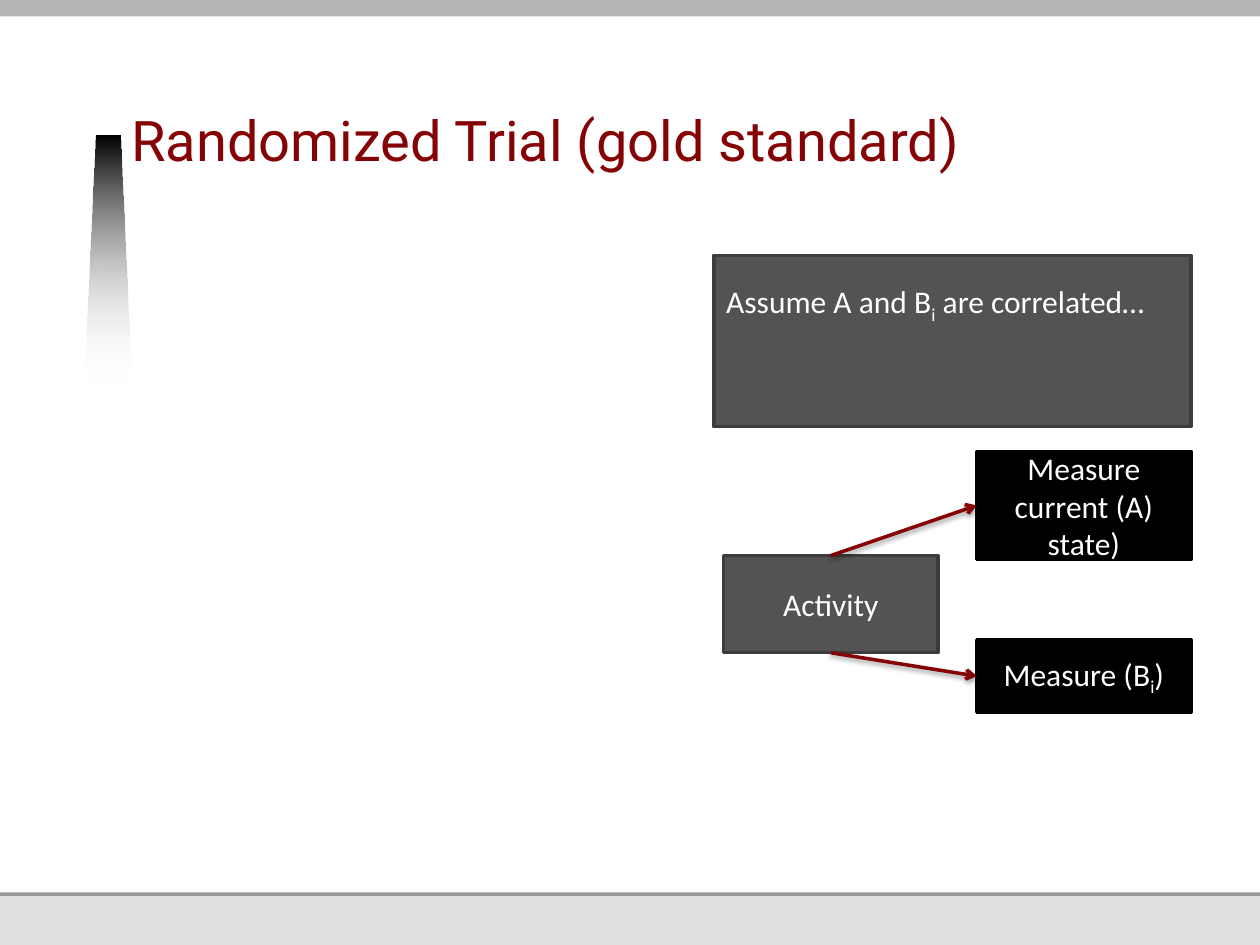
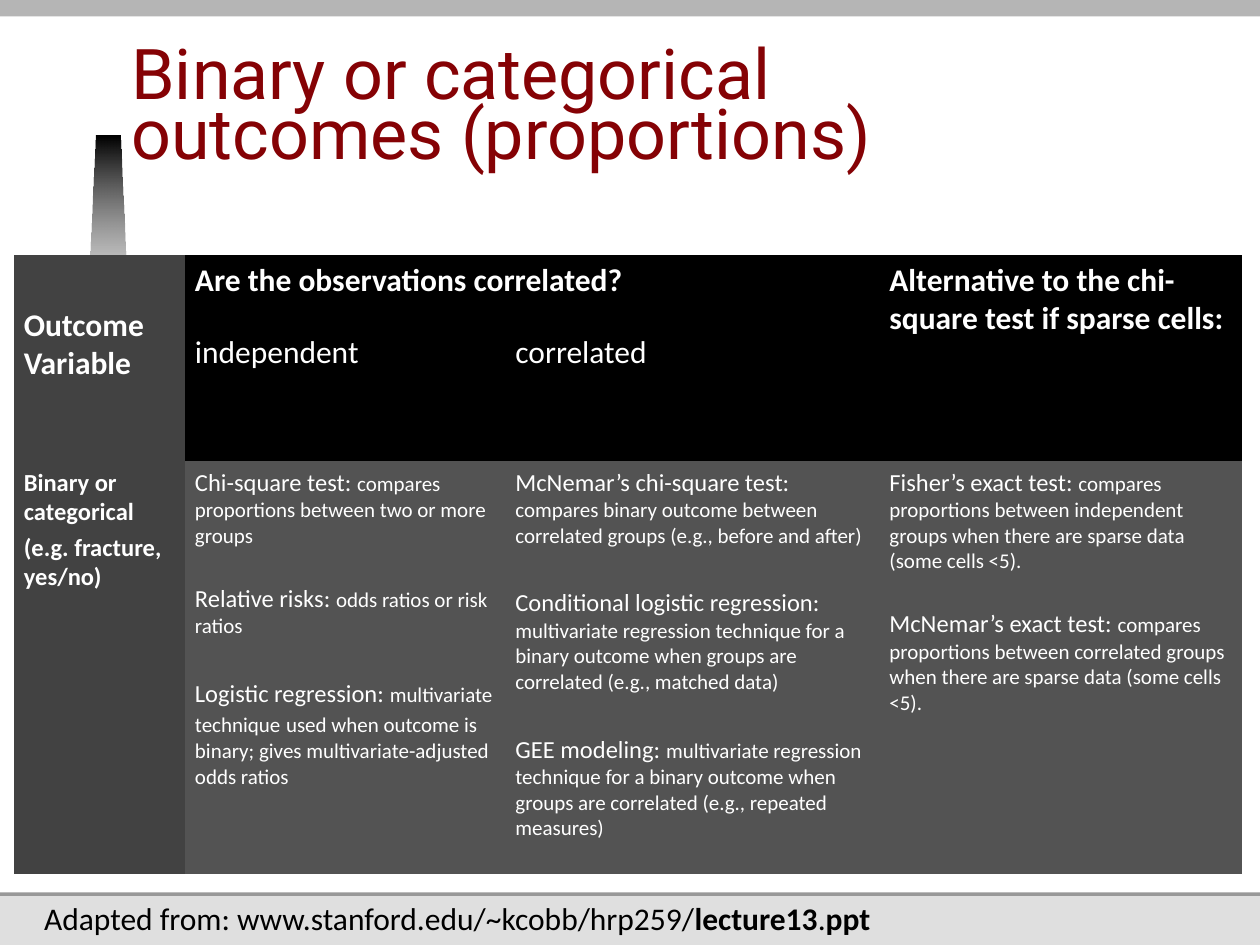
from dataclasses import dataclass

from lxml import etree
from pptx import Presentation
from pptx.dml.color import RGBColor
from pptx.enum.shapes import MSO_CONNECTOR, MSO_SHAPE
from pptx.enum.text import MSO_ANCHOR, MSO_AUTO_SIZE, PP_ALIGN
from pptx.oxml.ns import qn
from pptx.util import Cm, Pt

RECT = MSO_SHAPE.RECTANGLE
STRAIGHT = MSO_CONNECTOR.STRAIGHT
TOP, MIDDLE, BOTTOM = MSO_ANCHOR.TOP, MSO_ANCHOR.MIDDLE, MSO_ANCHOR.BOTTOM
LEFT, CENTER = PP_ALIGN.LEFT, PP_ALIGN.CENTER
NO_FIT = MSO_AUTO_SIZE.NONE
NO_GRID = "{2D5ABB26-0587-4C30-8999-92F81FD0307C}"
TITLE_ONLY = 5
TOP_SITE, LEFT_SITE, BASE_SITE = 0, 1, 2


@dataclass(frozen=True)
class Theme:
    title_font: str = "Roboto"
    font: str = "Calibri"
    red: str = "850205"
    black: str = "000000"
    white: str = "FFFFFF"
    panel: str = "535353"
    edge: str = "3D3D3D"
    side: str = "424242"
    band: str = "B5B5B5"
    rule: str = "989898"
    foot: str = "DFDFDF"
    large: int = 18
    lead: int = 14
    small: int = 12
    title_line: int = 34


T = Theme()
WIDE, HIGH = 25.4, 19.05


def rgb(code):
    return RGBColor.from_string(code)


def place(box):
    return [Cm(n) for n in box]


def write(para, parts, size=T.large, color=T.white, bold=False):
    """Fill a paragraph from (text, changes) pairs; changes are size, bold or sub."""
    for text, change in parts:
        run = para.add_run()
        run.text = text
        font = run.font
        font.name = T.font
        font.size = Pt(change.get("size", size))
        font.bold = change.get("bold", bold)
        font.color.rgb = rgb(color)
        if change.get("sub"):
            run._r.get_or_add_rPr().set("baseline", "-25000")


def block(slide, box, fill, edge=None):
    shape = slide.shapes.add_shape(RECT, *place(box))
    shape.shadow.inherit = False
    shape.fill.solid()
    shape.fill.fore_color.rgb = rgb(fill)
    if edge:
        shape.line.color.rgb = rgb(edge)
        shape.line.width = Pt(2)
    else:
        shape.line.fill.background()
    return shape


def label(slide, box, parts, fill, edge, align=CENTER, anchor=MIDDLE):
    shape = block(slide, box, fill, edge)
    frame = shape.text_frame
    frame.word_wrap = True
    frame.vertical_anchor = anchor
    frame.paragraphs[0].alignment = align
    write(frame.paragraphs[0], parts)
    return shape


def spike(slide, box):
    """Wedge, narrow at the top, that fades out downwards."""
    x, y, w, h = box
    inset = 0.23
    form = slide.shapes.build_freeform(Cm(x), Cm(y + h))
    form.add_line_segments([
        (Cm(x + inset), Cm(y)),
        (Cm(x + w - inset), Cm(y)),
        (Cm(x + w), Cm(y + h)),
    ])
    shape = form.convert_to_shape()
    shape.shadow.inherit = False
    shape.line.fill.background()
    shape.fill.gradient()
    shape.fill.gradient_angle = 270
    for stop, code, spot in zip(shape.fill.gradient_stops,
                                (T.black, T.white), (0, 1)):
        stop.color.rgb = rgb(code)
        stop.position = spot
    tints = list(shape._element.spPr.iter(qn("a:srgbClr")))
    etree.SubElement(tints[-1], qn("a:alpha"), val="0")
    return shape


def dress(layout, slide):
    """Draw the shared bands and wedge, then hand them to the layout."""
    parts = [
        block(slide, (0, 0, WIDE, HIGH), T.foot),
        block(slide, (0, 4.52, WIDE, 13.54), T.rule),
        block(slide, (0, 0, WIDE, 17.99), T.white),
        spike(slide, (1.7, 2.74, 0.95, 5.0)),
        block(slide, (0, 0, WIDE, 0.33), T.band),
    ]
    for spot, part in enumerate(parts, 2):
        layout.shapes._spTree.insert(spot, part._element)


def head(slide, text, width, size):
    title = slide.shapes.title
    title.left, title.top, title.width, title.height = place(
        (2.65, 0.87, width, 2.75))
    frame = title.text_frame
    frame.text = text
    frame.word_wrap = True
    frame.auto_size = NO_FIT
    frame.vertical_anchor = BOTTOM
    frame.margin_left = frame.margin_right = frame.margin_top = 0
    frame.margin_bottom = Cm(0.13)
    para = frame.paragraphs[0]
    para.alignment = LEFT
    para.line_spacing = Pt(T.title_line)
    font = para.runs[0].font
    font.name, font.size = T.title_font, Pt(size)
    font.color.rgb = rgb(T.red)


def arrow(slide, start, site, end):
    line = slide.shapes.add_connector(STRAIGHT, 0, 0, 0, 0)
    line.begin_connect(start, site)
    line.end_connect(end, LEFT_SITE)
    line.line.color.rgb = rgb(T.red)
    line.line.width = Pt(2)
    etree.SubElement(line.line._get_or_add_ln(), qn("a:tailEnd"), type="arrow")
    glow = etree.SubElement(line._element.spPr, qn("a:effectLst"))
    shade = etree.SubElement(glow, qn("a:outerShdw"), blurRad=str(Pt(3.1)),
                             dist=str(Pt(1.6)), dir="5400000", rotWithShape="0")
    tint = etree.SubElement(shade, qn("a:srgbClr"), val=T.black)
    etree.SubElement(tint, qn("a:alpha"), val="38000")


def trial(slide, box):
    """Assumption note above an activity with its two measures."""
    x, y, w = box
    wide = 4.32
    right = x + w - wide
    sub = ("i", {"sub": True})
    act = label(slide, (x + 0.2, y + 6.05, wide, 1.96),
                [("Activity", {})], T.panel, T.edge)
    state = label(slide, (right, y + 3.95, wide, 2.18),
                  [("Measure current (A) state)", {})], T.black, T.black)
    other = label(slide, (right, y + 7.75, wide, 1.46),
                  [("Measure (B", {}), sub, (")", {})], T.black, T.black)
    arrow(slide, act, TOP_SITE, state)
    arrow(slide, act, BASE_SITE, other)
    note = label(slide, (x, y, w, 3.45),
                 [("Assume A and B", {}), sub, (" are correlated…", {})],
                 T.panel, T.edge, LEFT, TOP)
    note.text_frame.margin_top = Cm(0.54)


def cell_text(cell, paras, fill, size=T.large, bold=False, top=0.13):
    """Fill a cell from (space before, parts) pairs."""
    cell.fill.solid()
    cell.fill.fore_color.rgb = rgb(fill)
    cell.margin_left = cell.margin_right = Cm(0.2)
    cell.margin_top, cell.margin_bottom = Cm(top), Cm(0.13)
    frame = cell.text_frame
    for n, (gap, parts) in enumerate(paras):
        para = frame.add_paragraph() if n else frame.paragraphs[0]
        if gap:
            para.space_before = Pt(gap)
        write(para, parts, size, bold=bold)


def test(name, text, gap=0):
    return gap, [(name + ": ", {"size": T.lead}), (text, {})]


SMALL_GAP, LARGE_GAP = 20, 22.7
TESTS = [
    [
        test("Chi-square test",
             "compares proportions between two or more groups"),
        test("Relative risks", "odds ratios or risk ratios", SMALL_GAP),
        (LARGE_GAP, [
            ("Logistic regression: ", {"size": T.lead}),
            ("multivariate technique", {}),
            (" ", {"size": T.lead}),
            ("used when outcome is binary; gives multivariate-adjusted "
             "odds ratios", {}),
        ]),
    ],
    [
        test("McNemar’s chi-square test",
             "compares binary outcome between correlated groups "
             "(e.g., before and after)"),
        test("Conditional logistic regression",
             "multivariate regression technique for a binary outcome when "
             "groups are correlated (e.g., matched data)", LARGE_GAP),
        test("GEE modeling",
             "multivariate regression technique for a binary outcome when "
             "groups are correlated (e.g., repeated measures)", LARGE_GAP),
    ],
    [
        test("Fisher’s exact test",
             "compares proportions between independent groups when there are "
             "sparse data (some cells <5)."),
        test("McNemar’s exact test",
             "compares proportions between correlated groups when there are "
             "sparse data (some cells <5).", SMALL_GAP),
    ],
]


def grid(slide, x, y):
    """Table that picks a test by outcome and correlation."""
    cols, rows = (3.45, 6.46, 7.54, 7.31), (1.45, 2.7, 8.31)
    table = slide.shapes.add_table(
        len(rows), len(cols), *place((x, y, sum(cols), sum(rows)))).table
    table._tbl.tblPr.find(qn("a:tableStyleId")).text = NO_GRID
    for col, size in zip(table.columns, cols):
        col.width = Cm(size)
    for row, size in zip(table.rows, rows):
        row.height = Cm(size)
    for start, end in (((0, 0), (1, 0)), ((0, 1), (0, 2)), ((0, 3), (1, 3))):
        table.cell(*start).merge(table.cell(*end))

    cell_text(table.cell(0, 0), [(0, [("Outcome Variable", {})])],
              T.side, bold=True, top=1.03)
    heads = (
        (0, 1, "Are the observations correlated?", True),
        (0, 3, "Alternative to the chi-square test if sparse cells:", True),
        (1, 1, "independent", False),
        (1, 2, "correlated", False),
    )
    for row, col, text, bold in heads:
        cell_text(table.cell(row, col), [(0, [(text, {})])], T.black, bold=bold)
    cell_text(table.cell(2, 0),
              [(0, [("Binary or categorical", {})]),
               (3, [("(e.g. fracture, yes/no)", {})])],
              T.side, T.lead, True)
    for col, paras in enumerate(TESTS, 1):
        cell_text(table.cell(2, col), paras, T.panel, T.small)


def source(slide, box):
    frame = slide.shapes.add_textbox(*place(box)).text_frame
    frame.word_wrap = True
    strong = {"bold": True}
    write(frame.paragraphs[0], [
        ("Adapted from: www.stanford.edu/~kcobb/hrp259/", {}),
        ("lecture13", strong), (".", {}), ("ppt", strong),
    ], color=T.black)


def main():
    deck = Presentation()
    deck.slide_width, deck.slide_height = Cm(WIDE), Cm(HIGH)
    layout = deck.slide_layouts[TITLE_ONLY]

    slide = deck.slides.add_slide(layout)
    dress(layout, slide)
    head(slide, "Randomized Trial (gold standard)", 22.75, 32)
    trial(slide, (14.39, 5.15, 9.62))

    slide = deck.slides.add_slide(layout)
    head(slide, "Binary or categorical outcomes (proportions)", 17.45, 40)
    grid(slide, 0.28, 5.14)
    source(slide, (0.64, 17.99, 21.36, 1.02))

    deck.save("out.pptx")


if __name__ == "__main__":
    main()
